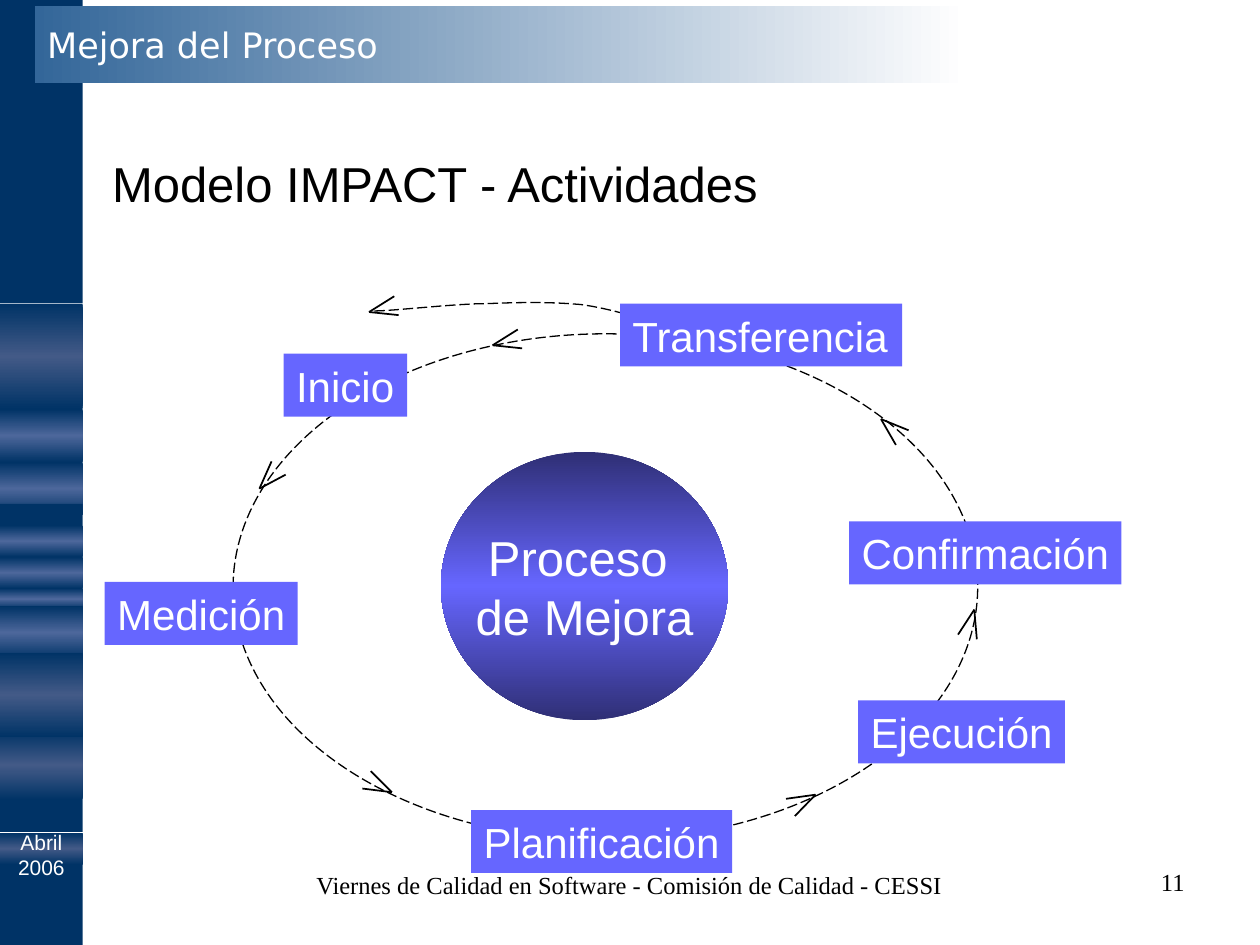
from copy import deepcopy
from math import cos, radians, sin

from lxml import etree
from pptx import Presentation
from pptx.dml.color import RGBColor
from pptx.enum.dml import MSO_LINE
from pptx.enum.shapes import MSO_CONNECTOR, MSO_SHAPE
from pptx.enum.text import MSO_ANCHOR, PP_ALIGN
from pptx.oxml.ns import qn
from pptx.util import Cm, Pt

RECTANGLE, OVAL = MSO_SHAPE.RECTANGLE, MSO_SHAPE.OVAL
STRAIGHT, LONG_DASH = MSO_CONNECTOR.STRAIGHT, MSO_LINE.LONG_DASH
TOP, MIDDLE = MSO_ANCHOR.TOP, MSO_ANCHOR.MIDDLE
LEFT, CENTER, RIGHT = PP_ALIGN.LEFT, PP_ALIGN.CENTER, PP_ALIGN.RIGHT

COLORS = {
    "navy": "003366", "soft": "435A87", "bright": "4D679B", "steel": "336699",
    "violet": "6666FF", "indigo": "2F2F75", "white": "FFFFFF", "black": "000000",
}
FORMATS = {
    "date": {"size": Pt(12), "name": "Arial"},
    "heading": {"size": Pt(28), "name": "Arial"},
    "activity": {"size": Pt(24), "name": "Arial"},
    "banner": {"size": Pt(20), "name": "DejaVu Sans"},
    "footer": {"size": Pt(14), "name": "Times New Roman"},
}
BANDS = [
    (0, 6.12, "navy"), (17.2, 1.85, "navy"), (14.73, 1.4, "soft"),
    (16.13, 0.64, "navy"), (16.79, 0.64, "soft"), (6.12, 2.13, "soft"),
    (8.25, 1.07, "bright"), (9.32, 1.07, "bright"), (10.16, 0.43, "navy"),
    (11.86, 0.43, "bright"), (12.22, 1.07, "bright"), (11.23, 0.64, "bright"),
    (10.59, 0.64, "bright"), (13.16, 1.7, "soft"),
]
ACTIVITIES = [
    ("Inicio", 3.61, 1.14, 2.49), ("Medición", 0, 5.74, 3.89),
    ("Planificación", 7.39, 10.34, 5.26), ("Ejecución", 15.19, 8.13, 4.17),
    ("Confirmación", 15.01, 4.52, 5.49), ("Transferencia", 10.39, 0.13, 5.69),
]
ARROWHEADS = [
    (5.79, 9.98, 206), (14.33, 10.03, 153), (3.12, 3.86, -47), (7.82, 0.97, -13),
    (5.33, 0.3, -13), (15.65, 2.46, 41), (17.53, 6.3, 104),
]
EXIT_CURVE = [
    (5.44, 0.28), (5.82, 0.28), (7.06, 0.13), (7.75, 0.13), (8.46, 0.1),
    (9.02, 0.1), (9.6, 0.15), (10.19, 0.23), (10.72, 0.41), (11.2, 0.53),
    (11.66, 0.66), (12.01, 0.81), (12.4, 0.94),
]
HEAD_LENGTH, HEAD_SPREAD, CURVE_STEPS = 0.6, 19, 8


def rgb(color):
    """Return the named colour."""
    return RGBColor.from_string(COLORS[color])


def write(shape, lines, style, color, align=LEFT, anchor=TOP, wrap=False, side=0.25):
    """Fill a shape with one paragraph per line."""
    frame = shape.text_frame
    settings = {
        "word_wrap": wrap, "vertical_anchor": anchor, "margin_left": Cm(side),
        "margin_right": Cm(side), "margin_top": Cm(0.13), "margin_bottom": Cm(0.13),
    }
    for key, value in settings.items():
        setattr(frame, key, value)
    frame.text = "\n".join(lines)
    for paragraph in frame.paragraphs:
        paragraph.alignment = align
        for key, value in FORMATS[style].items():
            setattr(paragraph.font, key, value)
        paragraph.font.color.rgb = rgb(color)


def add_text(slide, box, lines, style, color, **options):
    """Add a text box."""
    write(slide.shapes.add_textbox(*map(Cm, box)), lines, style, color, **options)


def add_filled(slide, kind, box, colors, angle=270):
    """Add a borderless shape with a solid, two-stop or mirrored gradient fill."""
    shape = slide.shapes.add_shape(kind, *map(Cm, box))
    shape.shadow.inherit = False
    shape.line.fill.background()
    if len(colors) == 1:
        shape.fill.solid()
        shape.fill.fore_color.rgb = rgb(colors[0])
        return shape
    shape.fill.gradient()
    shape.fill.gradient_angle = angle
    stop_list = shape.element.xpath(".//a:gsLst")[0]
    if len(colors) == 3:
        stop_list.append(deepcopy(stop_list[0]))
    for index, (stop, color) in enumerate(zip(shape.fill.gradient_stops, colors)):
        stop.position = index / (len(colors) - 1)
        stop.color.rgb = rgb(color)
    return shape


def style_orbit(shape):
    """Give a shape the dashed outline of the cycle."""
    shape.shadow.inherit = False
    shape.fill.background()
    shape.line.color.rgb = rgb("black")
    shape.line.width = Pt(0.75)
    shape.line.dash_style = LONG_DASH


def bezier(points, step):
    """Return the point of a cubic curve at a step between 0 and 1."""
    rest = 1 - step
    weights = (rest ** 3, 3 * rest ** 2 * step, 3 * rest * step ** 2, step ** 3)
    return tuple(sum(w * v for w, v in zip(weights, axis)) for axis in zip(*points))


def add_exit_curve(slide, left, top):
    """Draw the open curve that leaves the cycle."""
    points = [
        bezier(EXIT_CURVE[start:start + 4], step / CURVE_STEPS)
        for start in range(0, len(EXIT_CURVE) - 1, 3)
        for step in range(CURVE_STEPS + 1)
    ]
    vertices = [(Cm(left + x), Cm(top + y)) for x, y in points]
    builder = slide.shapes.build_freeform(*vertices[0])
    builder.add_line_segments(vertices[1:], close=False)
    style_orbit(builder.convert_to_shape())


def add_arrowhead(slide, x, y, angle):
    """Draw two strokes that meet at the tip and open towards the angle."""
    for turn in (-HEAD_SPREAD, HEAD_SPREAD):
        direction = radians(angle + turn)
        tail = (x + HEAD_LENGTH * cos(direction), y + HEAD_LENGTH * sin(direction))
        stroke = slide.shapes.add_connector(STRAIGHT, *map(Cm, (*tail, x, y)))
        stroke.line.color.rgb = rgb("black")
        stroke.line.width = Pt(1)
        etree.SubElement(stroke.element.spPr, qn("a:effectLst"))


def add_sidebar(slide, left, top, width):
    """Build the banded column with the date."""
    for offset, height, color in BANDS:
        colors = ["navy"] if color == "navy" else ["navy", color, "navy"]
        add_filled(slide, RECTANGLE, (left, top + offset, width, height), colors)
    add_text(slide, (left, top + 16.59, width, 1.25), ["Abril", "2006"], "date", "white",
             align=CENTER, side=0)


def add_cycle(slide, left, top):
    """Build the cycle of activities around its core."""
    orbit = (left + 2.59, top + 0.74, 15.01, 10.21)
    style_orbit(slide.shapes.add_shape(OVAL, *map(Cm, orbit)))
    add_exit_curve(slide, left, top)
    for name, x, y, width in ACTIVITIES:
        box = (left + x, top + y, width, 1.27)
        write(add_filled(slide, RECTANGLE, box, ["violet"]), [name], "activity", "white")
    core = add_filled(slide, OVAL, (left + 6.78, top + 3.12, 5.79, 5.41),
                      ["indigo", "violet", "indigo"])
    write(core, ["Proceso ", "de Mejora"], "heading", "white", align=CENTER, anchor=MIDDLE)
    for x, y, angle in ARROWHEADS:
        add_arrowhead(slide, left + x, top + y, angle)


def add_banner(slide, box):
    """Build the fading title strip."""
    strip = add_filled(slide, RECTANGLE, box, ["steel", "white"], angle=0)
    write(strip, ["Mejora del Proceso"], "banner", "white", anchor=MIDDLE, wrap=True)


def add_footer(slide, left, top):
    """Build the event name and the page number."""
    event = "Viernes de Calidad en Software - Comisión de Calidad - CESSI"
    add_text(slide, (left, top + 0.05, 17.2, 1.32), [event], "footer", "black",
             align=CENTER, wrap=True)
    add_text(slide, (left + 14.12, top, 5.92, 1.32), ["11"], "footer", "black",
             align=RIGHT, wrap=True)


def main():
    """Build and save the presentation."""
    presentation = Presentation()
    presentation.slide_width, presentation.slide_height = Cm(25.4), Cm(19.05)
    slide = presentation.slides.add_slide(presentation.slide_layouts[6])
    add_sidebar(slide, 0, 0, 1.67)
    add_text(slide, (2.01, 2.97, 13.67, 1.45), ["Modelo IMPACT - Actividades"],
             "heading", "black")
    add_cycle(slide, 2.11, 5.99)
    add_banner(slide, (0.7, 0.13, 18.8, 1.55))
    add_footer(slide, 4.09, 17.35)
    presentation.save("out.pptx")


if __name__ == "__main__":
    main()
